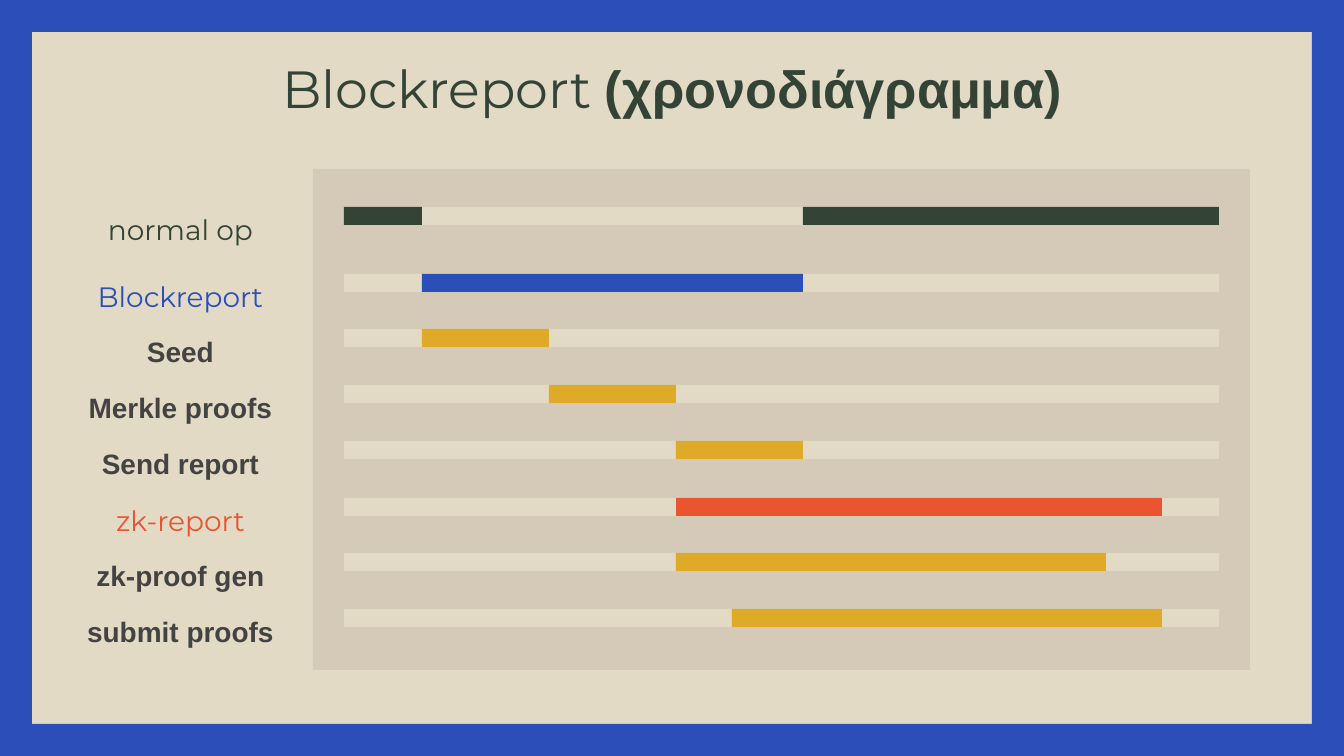
import pptx
import pptx.util
import pptx.dml.color
import pptx.enum.shapes
import pptx.enum.text

PX = 914400 / 134.4
DARK, BLUE, GOLD, RED, GREY = "334436", "2C4EB8", "DFAA28", "EA5430", "434343"
CREAM, PANEL = "E3DAC5", "D4CAB7"


def px(*lengths):
    return [pptx.util.Emu(round(length * PX)) for length in lengths]


def color(value):
    return pptx.dml.color.RGBColor.from_string(value)


def add_block(left, top, width, height, fill, kind="RECTANGLE"):
    shape_type = getattr(pptx.enum.shapes.MSO_SHAPE, kind)
    shape = slide.shapes.add_shape(shape_type, *px(left, top, width, height))
    shape.shadow.inherit = False
    shape.fill.solid()
    shape.fill.fore_color.rgb = color(fill)
    shape.line.fill.background()
    return shape


def add_text(paragraph, text, *, size, font, fill, bold=False):
    paragraph.alignment = pptx.enum.text.PP_ALIGN.CENTER
    run = paragraph.add_run()
    run.text = text
    run.font.size = pptx.util.Pt(size)
    run.font.name = font
    run.font.bold = bold
    run.font.color.rgb = color(fill)


presentation = pptx.Presentation()
presentation.slide_width, presentation.slide_height = px(1344, 756)
slide = presentation.slides.add_slide(presentation.slide_layouts[5])
slide.background.fill.solid()
slide.background.fill.fore_color.rgb = color(CREAM)

# Border and title
border = add_block(0, 0, 1344, 756, BLUE, kind="FRAME")
border.adjustments[0] = 32 / 756

title = slide.shapes.title
title.left, title.top, title.width, title.height = px(106, 43, 1133, 85)
frame = title.text_frame
frame.auto_size = pptx.enum.text.MSO_AUTO_SIZE.NONE
frame.vertical_anchor = pptx.enum.text.MSO_ANCHOR.TOP
frame.margin_left, frame.margin_top, frame.margin_right, frame.margin_bottom = px(13, 13, 13, 13)
add_text(frame.paragraphs[0], "Blockreport ", size=28, font="Montserrat", fill=DARK)
add_text(frame.paragraphs[0], "(χρονοδιάγραμμα)", size=28, font="Arial", fill=DARK, bold=True)

# Timeline: label, top, bar colour, (start, end) of each bar; gold rows are sub-steps
add_block(313, 169, 937, 501, PANEL)
TRACK_START, TRACK_END, BAR_HEIGHT = 344, 1219, 18
rows = [
    ("normal op", 207, DARK, [(TRACK_START, 422), (803, TRACK_END)]),
    ("Blockreport", 274, BLUE, [(422, 803)]),
    ("Seed", 329, GOLD, [(422, 549)]),
    ("Merkle proofs", 385, GOLD, [(549, 676)]),
    ("Send report", 441, GOLD, [(676, 803)]),
    ("zk-report", 498, RED, [(676, 1162)]),
    ("zk-proof gen", 553, GOLD, [(676, 1106)]),
    ("submit proofs", 609, GOLD, [(732, 1162)]),
]
for label, top, fill, bars in rows:
    add_block(TRACK_START, top, TRACK_END - TRACK_START, BAR_HEIGHT, CREAM)
    for start, end in bars:
        add_block(start, top, end - start, BAR_HEIGHT, fill)

    frame = slide.shapes.add_textbox(*px(79, top, 203, 32)).text_frame
    frame.word_wrap = True
    frame.vertical_anchor = pptx.enum.text.MSO_ANCHOR.MIDDLE
    frame.margin_left, frame.margin_top, frame.margin_right, frame.margin_bottom = px(0, 13, 0, 0)
    paragraph = frame.paragraphs[0]
    paragraph.space_after = pptx.util.Pt(16)
    if fill == GOLD:
        add_text(paragraph, label, size=15, font="Arial", fill=GREY, bold=True)
    else:
        add_text(paragraph, label, size=15, font="Montserrat", fill=fill)

presentation.save("out.pptx")
